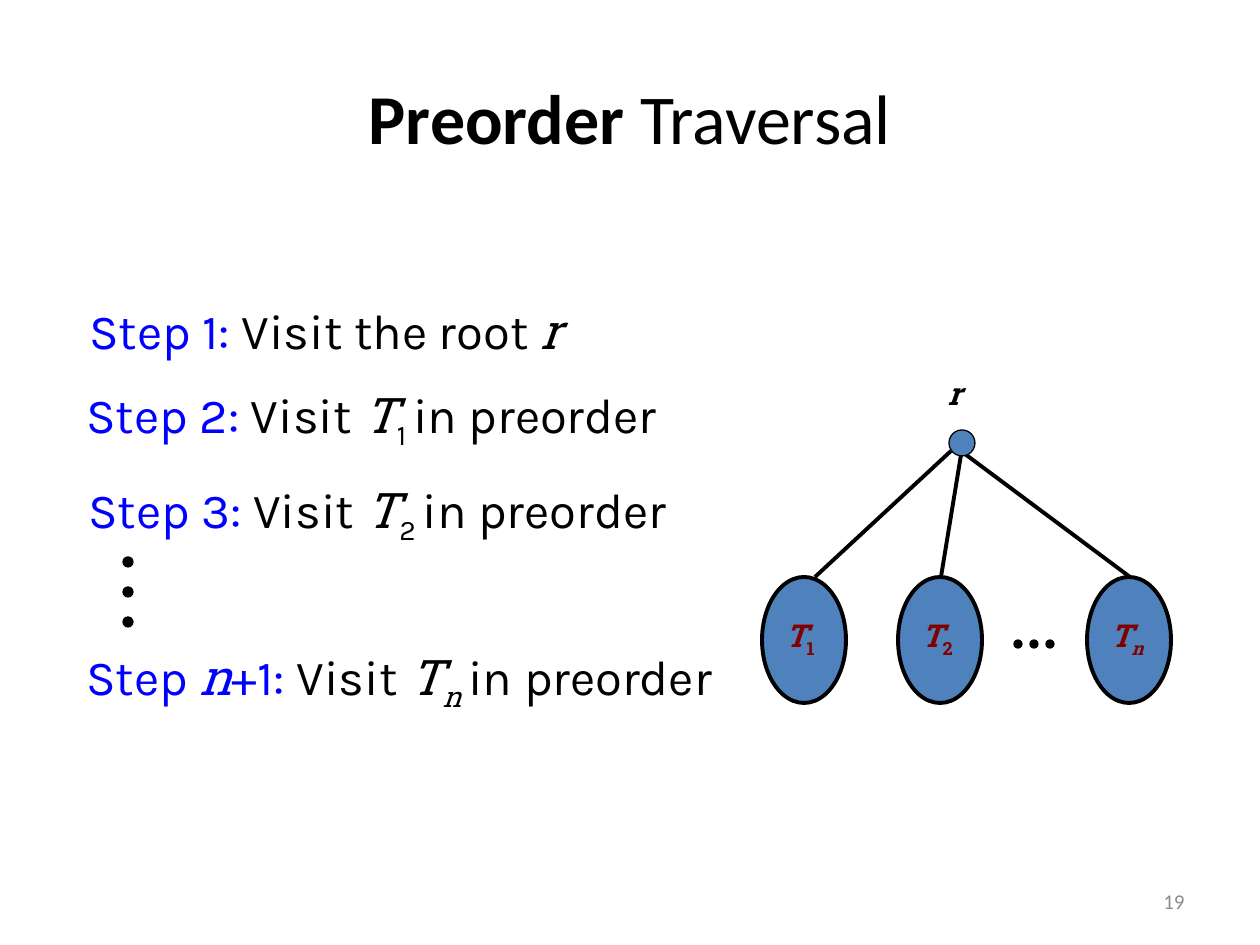
"""Build the slide on preorder traversal: the steps and a tree with n subtrees."""
from lxml.etree import SubElement
from pptx import Presentation
from pptx.dml.color import RGBColor
from pptx.enum.shapes import MSO_CONNECTOR as Connector, MSO_SHAPE as Shape
from pptx.enum.text import MSO_ANCHOR as Anchor, MSO_AUTO_SIZE as AutoSize, PP_ALIGN as Align
from pptx.oxml.ns import qn
from pptx.util import Pt

PX = 914400 / 126
BLACK = RGBColor(0x00, 0x00, 0x00)
BLUE = RGBColor(0x00, 0x00, 0xFF)
STEEL = RGBColor(0x4F, 0x81, 0xBD)
MAROON = RGBColor(0x80, 0x00, 0x00)
GRAY = RGBColor(0x8C, 0x8C, 0x8C)
SANS, BODY, SERIF = "Calibri", "Karla", "Roboto Slab"


def add_ellipse(left, top, width, height, fill, line_width):
    ellipse = slide.shapes.add_shape(
        Shape.OVAL, *(round(v * PX) for v in (left, top, width, height)))
    ellipse.shadow.inherit = False
    ellipse.fill.solid()
    ellipse.fill.fore_color.rgb = fill
    ellipse.line.color.rgb = BLACK
    ellipse.line.width = Pt(line_width)


def add_text(left, top, width, height, size, runs, align=Align.LEFT, anchor=Anchor.TOP,
             wrap=True, grow=True):
    box = slide.shapes.add_textbox(*(round(v * PX) for v in (left, top, width, height)))
    frame = box.text_frame
    frame.word_wrap = wrap
    frame.auto_size = AutoSize.SHAPE_TO_FIT_TEXT if grow else AutoSize.NONE
    frame.vertical_anchor = anchor
    paragraph = frame.paragraphs[0]
    paragraph.alignment = align
    for text, typeface, color, style in runs:
        run = paragraph.add_run()
        run.text = text
        run.font.name = typeface
        run.font.size = Pt(size)
        run.font.color.rgb = color
        run.font.bold = "b" in style
        run.font.italic = "i" in style
        if "s" in style:
            run.font._element.set("baseline", "-25000")


prs = Presentation()
prs.slide_width, prs.slide_height = round(1260 * PX), round(945 * PX)
slide = prs.slides.add_slide(prs.slide_layouts[6])

add_text(63, 38, 1134, 158, 40,
         [("Preorder", SANS, BLACK, "b"), (" Traversal", SANS, BLACK, "")],
         Align.CENTER, Anchor.MIDDLE, grow=False)
add_text(903, 876, 294, 50, 12, [("19", SANS, GRAY, "")],
         Align.RIGHT, Anchor.MIDDLE, grow=False)

for subtree_left, index, index_style in ((762, "1", "bs"), (898, "2", "bs"), (1087, "n", "bis")):
    add_ellipse(subtree_left, 577, 84, 126, STEEL, 2.25)
    add_text(subtree_left + 11, 610, 62, 50, 18,
             [("T", SERIF, MAROON, "bi"), (index, SERIF, MAROON, index_style)], wrap=False)

for branch in ((951, 451, 815, 577), (961, 455, 941, 577), (965, 454, 1130, 577)):
    edge = slide.shapes.add_connector(Connector.STRAIGHT, *(round(v * PX) for v in branch))
    edge.line.color.rgb = BLACK
    edge.line.width = Pt(2.25)
    SubElement(edge._element.spPr, qn("a:effectLst"))

add_text(935, 368, 42, 50, 18, [("r", SERIF, BLACK, "bi")], wrap=False)
add_ellipse(949, 430, 26, 26, STEEL, 0.75)

for dot in range(3):
    add_ellipse(1014 + 16 * dot, 640, 8, 8, BLACK, 0.75)
    add_ellipse(123, 557 + 30 * dot, 10, 10, BLACK, 0.75)

add_text(77, 294, 564, 72, 28,
         [("Step 1:", BODY, BLUE, ""), (" Visit the root ", BODY, BLACK, ""),
          ("r", SERIF, BLACK, "i")])

visits = (
    (74, 378, 633, [("Step 2: ", BODY, BLUE, "")], ("1 ", BODY, BLACK, "s")),
    (76, 473, 627, [("Step 3: ", BODY, BLUE, "")], ("2 ", BODY, BLACK, "s")),
    (74, 640, 690,
     [("Step ", BODY, BLUE, ""), ("n", SERIF, BLUE, "i"), ("+1: ", BODY, BLUE, "")],
     ("n ", SERIF, BLACK, "is")),
)
for left, top, width, step, subscript in visits:
    add_text(left, top, width, 72, 28,
             step + [("Visit ", BODY, BLACK, ""), ("T", SERIF, BLACK, "i"), subscript,
                     ("in preorder", BODY, BLACK, "")])

prs.save("out.pptx")
